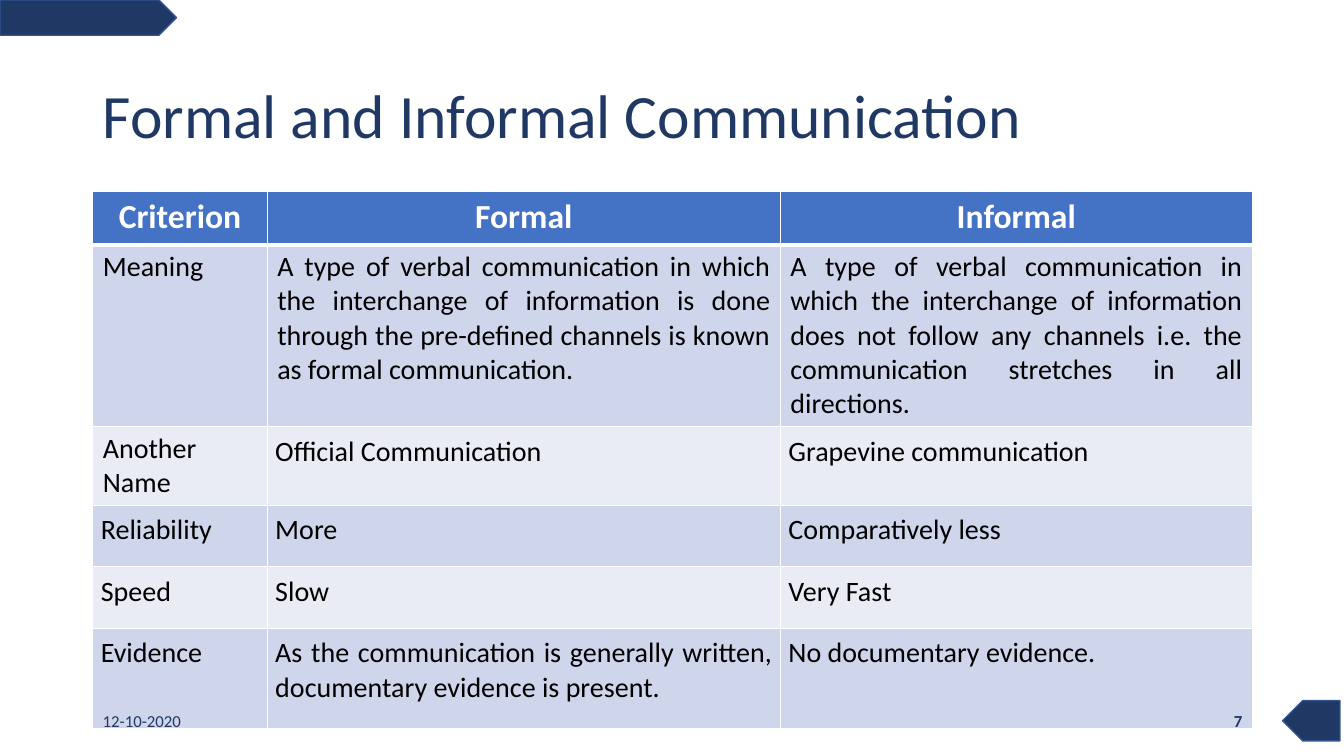
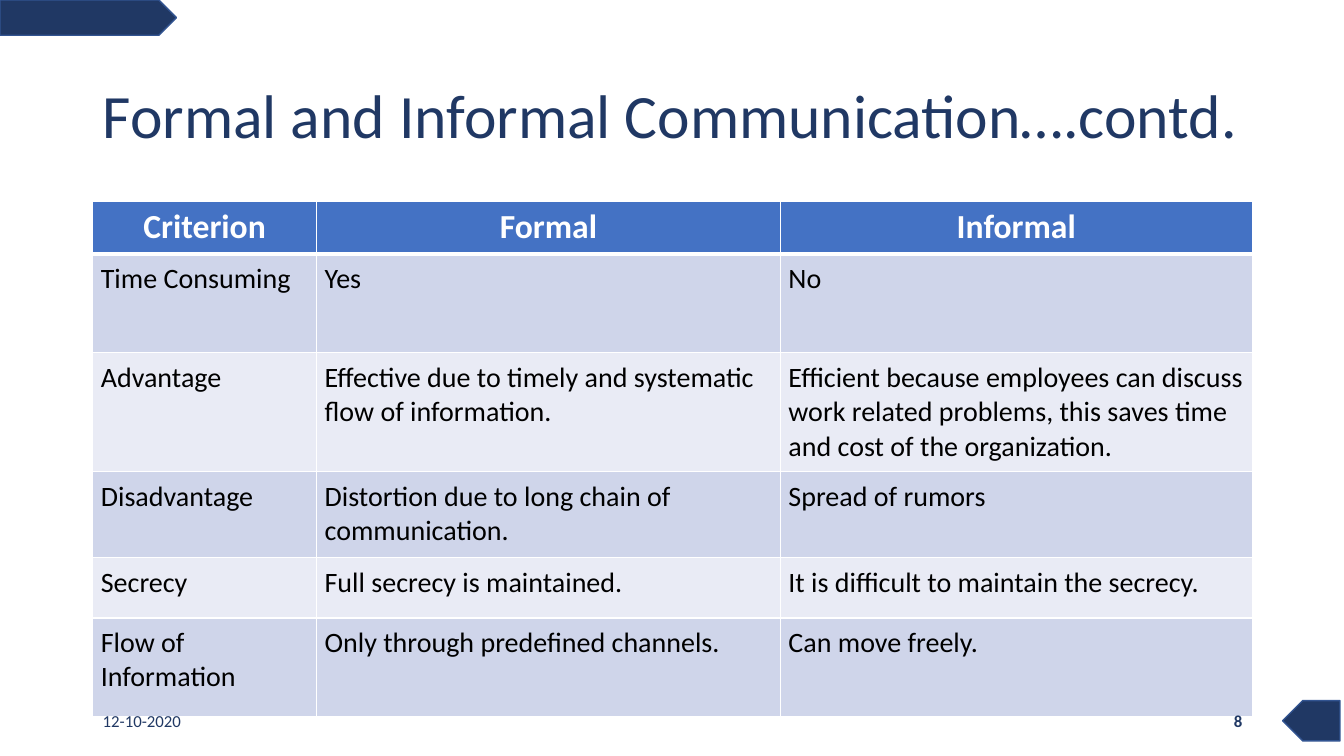
"""Build two slides that compare formal and informal communication."""
import pptx
import pptx.util
import pptx.dml.color
import pptx.enum.shapes
import pptx.enum.text
import pptx.oxml
import pptx.oxml.ns

Inches = pptx.util.Inches
Pt = pptx.util.Pt
Align = pptx.enum.text.PP_ALIGN
Anchor = pptx.enum.text.MSO_ANCHOR

FONT = "Calibri"
NAVY, EDGE, BLUE = "203864", "325491", "4472C4"
WHITE, BLACK = "FFFFFF", "000000"
BANDS = ("E9EBF5", "CFD5EA")
LEFT, WIDE = 0.92, 11.5
DATE = "12-10-2020"
HEADS = ("Criterion", "Formal", "Informal")
TAGS = [((0, 0, 1.75, 0.35), 0), ((12.72, 6.95, 0.57, 0.4), 180)]

PAGES = [
    {
        "title": "Formal and Informal Communication",
        "number": "7",
        "top": 1.9,
        "cols": (1.73, 5.09, 4.68),
        "heights": (0.53, 1.8, 0.78, 0.61, 0.61, 1),
        "align": Align.JUSTIFY,
        "loose": 7,
        "rows": [
            ("Meaning",
             "A type of verbal communication in which the interchange of information "
             "is done through the pre-defined channels is known as formal communication.",
             "A type of verbal communication in which the interchange of information "
             "does not follow any channels i.e. the communication stretches in all "
             "directions."),
            ("Another Name", "Official Communication", "Grapevine communication"),
            ("Reliability", "More", "Comparatively less"),
            ("Speed", "Slow", "Very Fast"),
            ("Evidence",
             "As the communication is generally written, documentary evidence is present.",
             "No documentary evidence."),
        ],
    },
    {
        "title": "Formal and Informal Communication….contd.",
        "number": "8",
        "top": 2,
        "cols": (2.22, 4.6, 4.68),
        "heights": (0.52, 0.98, 1.18, 0.85, 0.6, 0.98),
        "align": Align.LEFT,
        "loose": 3,
        "rows": [
            ("Time Consuming", "Yes", "No"),
            ("Advantage",
             "Effective due to timely and systematic flow of information.",
             "Efficient because employees can discuss work related problems, this "
             "saves time and cost of the organization."),
            ("Disadvantage", "Distortion due to long chain of communication.",
             "Spread of rumors"),
            ("Secrecy", "Full secrecy is maintained.",
             "It is difficult to maintain the secrecy."),
            ("Flow of Information", "Only through predefined channels.",
             "Can move freely."),
        ],
    },
]


def color(code):
    return pptx.dml.color.RGBColor.from_string(code)


def write(frame, text, size=20, ink=BLACK, bold=False, align=Align.LEFT, space=None):
    frame.word_wrap = True
    para = frame.paragraphs[0]
    para.text = text
    para.alignment = align
    para.line_spacing = space
    font = para.font
    font.name, font.size, font.bold = FONT, Pt(size), bold
    font.color.rgb = color(ink)


def paint(fill, code):
    fill.solid()
    fill.fore_color.rgb = color(code)


def add_tags(slide, master):
    for order, (box, turn) in enumerate(TAGS):
        tag = slide.shapes.add_shape(
            pptx.enum.shapes.MSO_SHAPE.PENTAGON, *map(Inches, box))
        tag.rotation = turn
        tag.shadow.inherit = False
        paint(tag.fill, NAVY)
        tag.line.color.rgb = color(EDGE)
        tag.line.width = Pt(1)
        master.shapes.element.insert(2 + order, tag.element)


def set_title(layout):
    title = layout.placeholders[0]
    title.left, title.top = Inches(LEFT), Inches(0.45)
    title.width, title.height = Inches(WIDE), Inches(1.45)
    title.text_frame.vertical_anchor = Anchor.MIDDLE
    title.text_frame.auto_size = pptx.enum.text.MSO_AUTO_SIZE.NONE


def add_edges(cell, row):
    props = cell._tc.get_or_add_tcPr()
    widths = {"L": 1, "R": 1, "T": 3 if row == 1 else 1, "B": 3 if row == 0 else 1}
    for order, (side, width) in enumerate(widths.items()):
        props.insert(order, pptx.oxml.parse_xml(
            f'<a:ln{side} {pptx.oxml.ns.nsdecls("a")} w="{Pt(width)}"><a:solidFill>'
            f'<a:srgbClr val="{WHITE}"/></a:solidFill></a:ln{side}>'))


def add_grid(slide, page):
    rows = [HEADS] + page["rows"]
    cols, heights = page["cols"], page["heights"]
    table = slide.shapes.add_table(
        len(rows), len(cols), Inches(LEFT), Inches(page["top"]),
        Inches(WIDE), Inches(sum(heights))).table
    table.horz_banding = False
    for part, width in zip(table.columns, cols):
        part.width = Inches(width)
    for part, height in zip(table.rows, heights):
        part.height = Inches(height)
    for r, row in enumerate(rows):
        for c, text in enumerate(row):
            cell = table.cell(r, c)
            paint(cell.fill, BANDS[r % 2] if r else BLUE)
            add_edges(cell, r)
            if r * len(cols) + c >= page["loose"]:
                cell.margin_left = cell.margin_right = Inches(0.08)
                cell.margin_top = cell.margin_bottom = Inches(0.08)
            if r:
                write(cell.text_frame, text, align=page["align"])
            else:
                write(cell.text_frame, text, size=24, ink=WHITE, bold=True,
                      align=Align.CENTER)


def add_foot(slide, left, text, **style):
    box = slide.shapes.add_textbox(Inches(left), Inches(6.95), Inches(3), Inches(0.4))
    box.text_frame.vertical_anchor = Anchor.MIDDLE
    write(box.text_frame, text, size=12, ink=NAVY, **style)


def main():
    deck = pptx.Presentation()
    deck.slide_width, deck.slide_height = Inches(13.33), Inches(7.5)
    layout = deck.slide_layouts[5]
    set_title(layout)
    for page in PAGES:
        slide = deck.slides.add_slide(layout)
        write(slide.shapes.title.text_frame, page["title"], size=44, ink=NAVY, space=0.9)
        add_grid(slide, page)
        add_foot(slide, LEFT, DATE)
        add_foot(slide, LEFT + WIDE - 3, page["number"], bold=True, align=Align.RIGHT)
    add_tags(deck.slides[0], deck.slide_master)
    deck.save("out.pptx")


if __name__ == "__main__":
    main()
